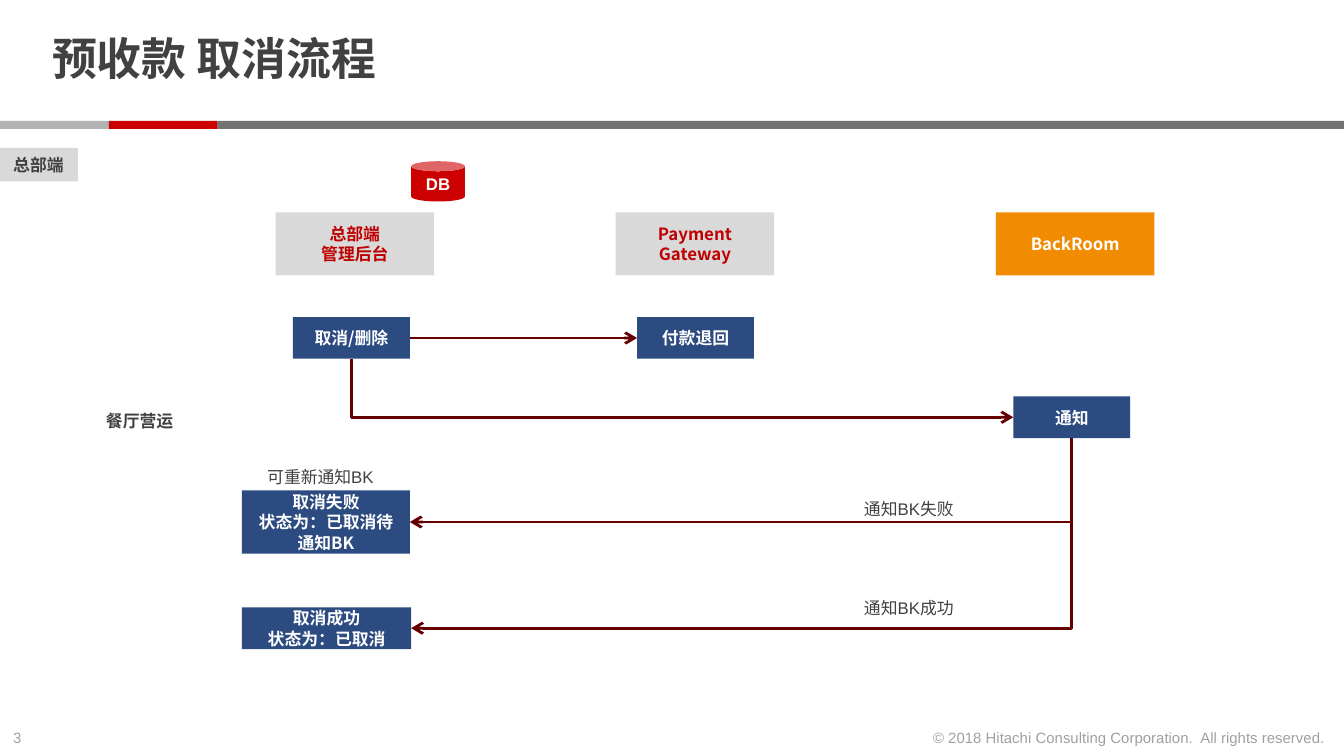
from pptx import Presentation
from pptx import util as u
from pptx.dml.color import RGBColor
from pptx.enum import shapes, text
from pptx.oxml import ns
from lxml import etree

COLORS = {
    "ink": "414141", "faded": "A0A0A0", "white": "FFFFFF", "red": "CC0000",
    "dark_red": "C00000", "wire": "660000", "navy": "2C4B80", "orange": "F18B00",
    "pale": "D9D9D9", "silver": "B3B3B3", "slate": "737373",
}
CJK = "Noto Sans CJK SC"
TOP, LEFT, BOTTOM, RIGHT = range(4)  # connection sites of a rectangle


def rgb(name):
    return RGBColor.from_string(COLORS[name])


def write(shape, lines, size=9, color="ink", font="Arial", bold=False,
          align="LEFT", anchor="TOP", wrap=True):
    """Fill a shape with one paragraph for each line of text."""
    frame = shape.text_frame
    frame.word_wrap = wrap
    frame.vertical_anchor = text.MSO_ANCHOR[anchor]
    for index, line in enumerate(lines.split("\n")):
        para = frame.add_paragraph() if index else frame.paragraphs[0]
        para.alignment = text.PP_ALIGN[align]
        span = para.add_run()
        span.text = line
        span.font.size = u.Pt(size)
        span.font.bold = bold
        span.font.color.rgb = rgb(color)
        span.font.name = font
        east = etree.SubElement(span.font._element, ns.qn("a:ea"))
        east.set("typeface", CJK)
    return frame


def add_label(page, box, words, **style):
    label = page.shapes.add_textbox(*map(u.Inches, box))
    return write(label, words, **style)


def add_block(page, box, fill, kind="RECTANGLE"):
    block = page.shapes.add_shape(shapes.MSO_SHAPE[kind], *map(u.Inches, box))
    block.shadow.inherit = False
    block.fill.solid()
    block.fill.fore_color.rgb = rgb(fill)
    block.line.fill.background()
    return block


def add_node(page, box, words, fill="navy", color="white", font=CJK, kind="RECTANGLE"):
    node = add_block(page, box, fill, kind)
    write(node, words, color=color, font=font, bold=True, align="CENTER", anchor="MIDDLE")
    return node


def add_arrow(page, target, target_site, source, source_site, bent=True):
    """Link two nodes, with the arrowhead at the target; a bend leaves it sideways."""
    kind = shapes.MSO_CONNECTOR.ELBOW if bent else shapes.MSO_CONNECTOR.STRAIGHT
    arrow = page.shapes.add_connector(kind, 0, 0, 0, 0)
    arrow.begin_connect(target, target_site)
    arrow.end_connect(source, source_site)
    arrow.line.color.rgb = rgb("wire")
    arrow.line.width = u.Pt(1.5)
    outline = arrow.line._get_or_add_ln()
    etree.SubElement(outline, ns.qn("a:headEnd")).set("type", "arrow")
    properties = arrow._element.spPr
    if bent:
        properties.find(ns.qn("a:prstGeom")).set("prst", "bentConnector2")
    etree.SubElement(properties, ns.qn("a:effectLst"))


def add_header(page, left, top, width):
    frame = add_label(page, (left + 0.29, top + 0.06, 7.71, 0.8), "预收款 取消流程",
                      size=24, bold=True, anchor="MIDDLE")
    frame.margin_top = frame.margin_bottom = 0
    frame.paragraphs[0].line_spacing = 0.85
    step = 0.81
    bands = (("silver", 0, step), ("red", step, step), ("slate", 2 * step, width - 2 * step))
    for color, start, length in bands:
        add_block(page, (left + start, top + 0.9, length, 0.06), color)


def add_footer(page, left, top, width):
    style = dict(size=8, color="faded", wrap=False)
    add_label(page, (left, top, 0.34, 0.24), "3", **style)
    add_label(page, (left + width - 3.2, top, 3.16, 0.24),
              "© 2018 Hitachi Consulting Corporation.  All rights reserved.",
              align="RIGHT", **style)


def add_flow(page, left, top):
    def at(x, y, width, height):
        return left + x, top + y, width, height

    tag = add_block(page, at(0, 0, 0.58, 0.25), "pale")
    write(tag, "总部端", font=CJK, bold=True, wrap=False)
    add_label(page, at(0.69, 1.91, 0.71, 0.25), "餐厅营运", bold=True, wrap=False)

    systems = (
        (2.05, "总部端\n管理后台", "pale", "dark_red"),
        (4.58, "Payment\nGateway", "pale", "dark_red"),
        (7.41, "BackRoom", "orange", "white"),
    )
    for x, words, fill, color in systems:
        add_node(page, at(x, 0.48, 1.18, 0.47), words, fill, color)
    add_node(page, at(3.06, 0.1, 0.4, 0.3), "DB", "red", font="Arial", kind="CAN")

    cancel = add_node(page, at(2.18, 1.26, 0.87, 0.31), "取消/删除")
    refund = add_node(page, at(4.74, 1.26, 0.87, 0.31), "付款退回")
    notice = add_node(page, at(7.54, 1.85, 0.87, 0.31), "通知")
    failure = add_node(page, at(1.8, 2.55, 1.25, 0.47), "取消失败\n状态为：已取消待通知BK")
    success = add_node(page, at(1.8, 3.42, 1.26, 0.31), "取消成功\n状态为：已取消")

    add_arrow(page, refund, LEFT, cancel, RIGHT, bent=False)
    add_arrow(page, notice, LEFT, cancel, BOTTOM)
    for outcome in (failure, success):
        add_arrow(page, outcome, RIGHT, notice, BOTTOM)

    add_label(page, at(6.33, 2.56, 0.92, 0.25), "通知BK失败")
    add_label(page, at(6.33, 3.3, 0.92, 0.25), "通知BK成功")
    add_label(page, at(1.89, 2.32, 1.06, 0.25), "可重新通知BK")


def main():
    deck = Presentation()
    deck.slide_width = u.Inches(10)
    deck.slide_height = u.Inches(10 * 9 / 16)
    page = deck.slides.add_slide(deck.slide_layouts[6])
    add_header(page, 0, 0, 10)
    add_flow(page, 0, 1.1)
    add_footer(page, 0, 5.37, 10)
    deck.save("out.pptx")


if __name__ == "__main__":
    main()
